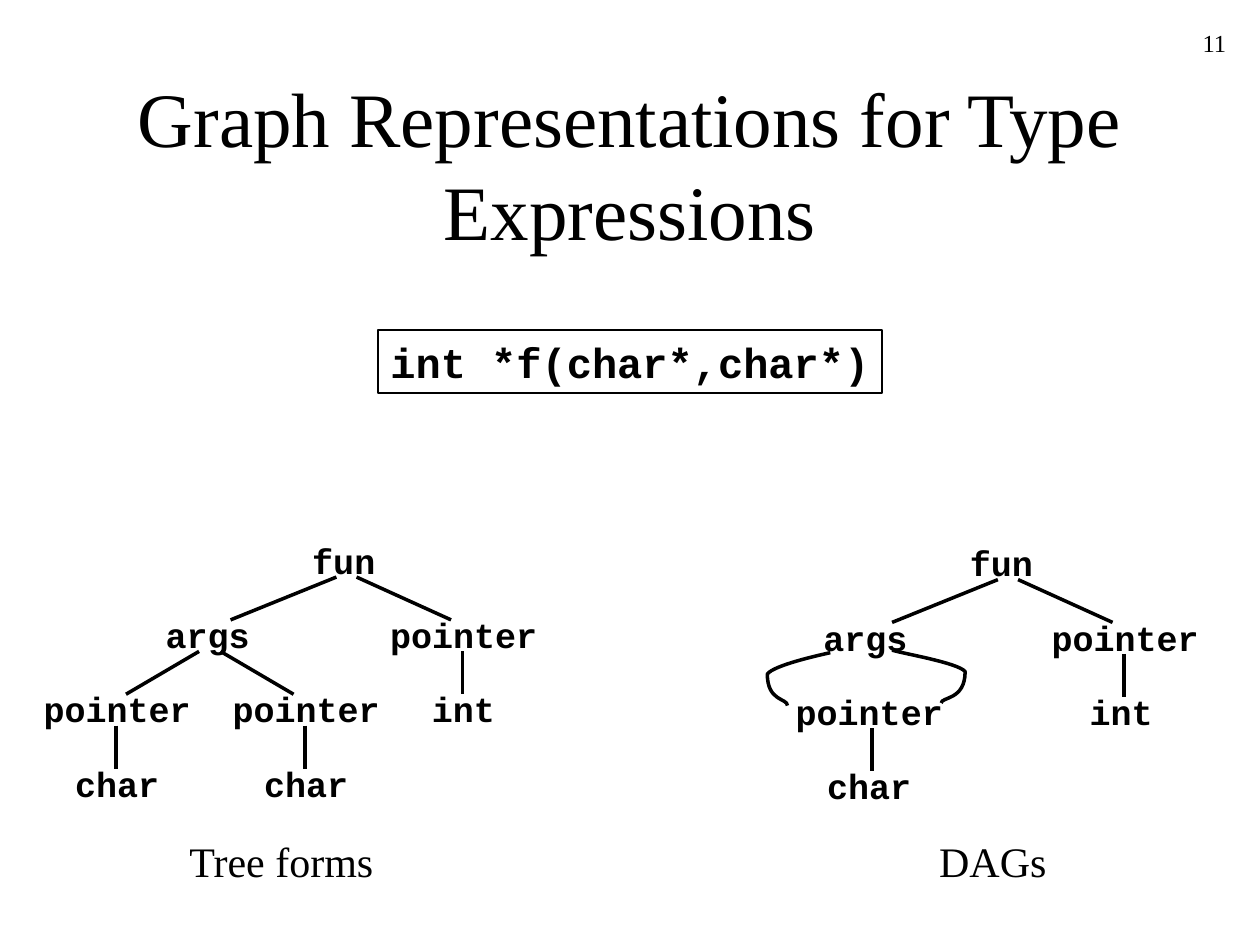
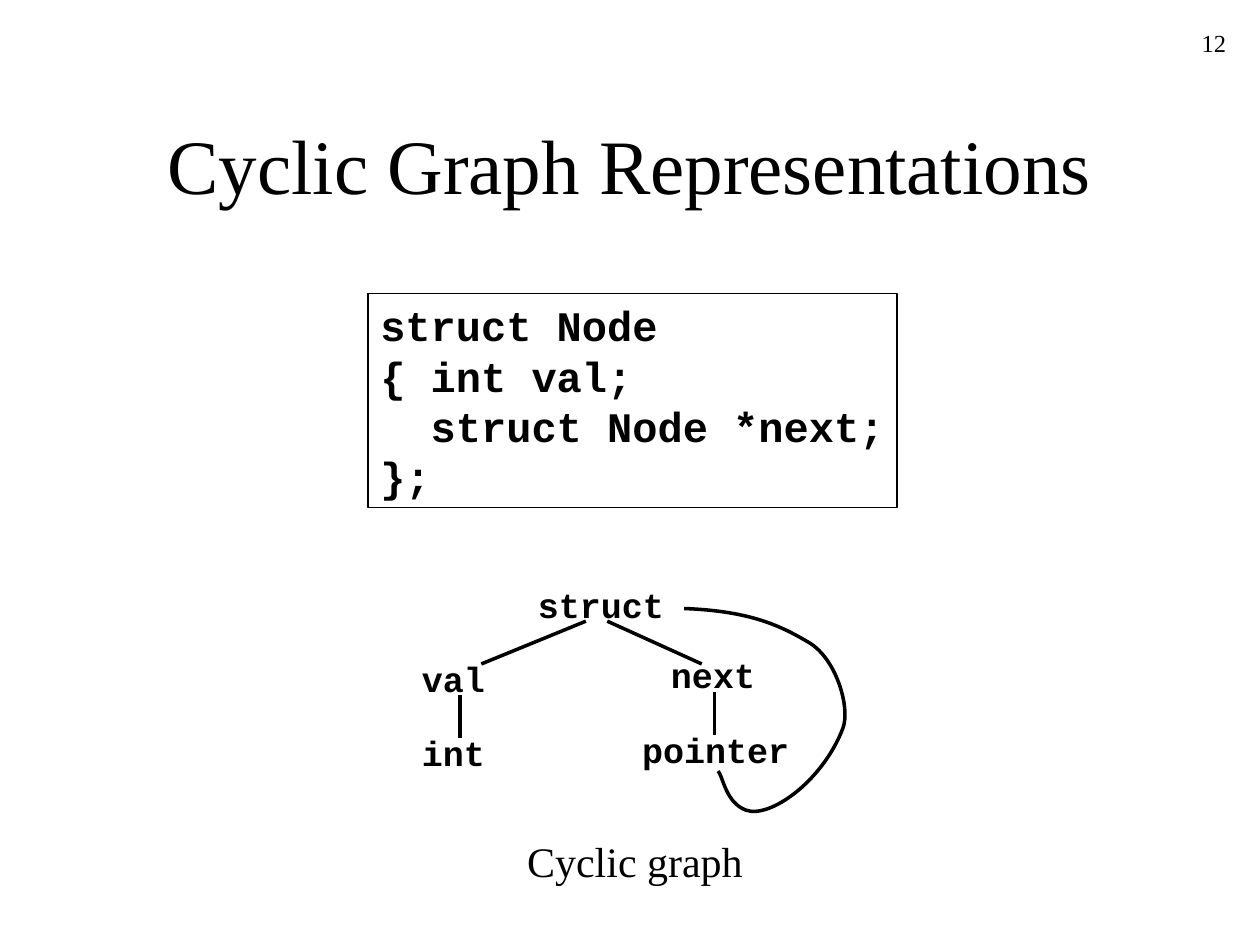
"""Builds two slides on graph representations of type expressions."""
from dataclasses import dataclass

from lxml import etree
from pptx import Presentation
from pptx.dml.color import RGBColor
from pptx.enum.shapes import MSO_CONNECTOR, MSO_SHAPE
from pptx.enum.text import MSO_ANCHOR, MSO_AUTO_SIZE, PP_ALIGN
from pptx.oxml.ns import qn
from pptx.util import Inches, Pt

LEFT, CENTER, RIGHT = PP_ALIGN.LEFT, PP_ALIGN.CENTER, PP_ALIGN.RIGHT
TOP, MIDDLE = MSO_ANCHOR.TOP, MSO_ANCHOR.MIDDLE
FIT_TEXT, RECTANGLE = MSO_AUTO_SIZE.SHAPE_TO_FIT_TEXT, MSO_SHAPE.RECTANGLE
STRAIGHT = MSO_CONNECTOR.STRAIGHT


@dataclass(frozen=True)
class Theme:
    ink: RGBColor = RGBColor(0, 0, 0)
    paper: RGBColor = RGBColor(255, 255, 255)
    serif: str = "Times New Roman"
    mono: str = "Courier New"
    title: int = 44
    code: int = 24
    caption: int = 24
    node: int = 20
    number: int = 14
    frame: float = 0.75
    edge: float = 2


THEME = Theme()
WIDTH, HEIGHT = 10, 7.5
TITLE_BOX = (0.75, 0.67, 8.5, 1.25)
NUMBER_BOX = (7.75, 0.17, 2.08, 0.5)
CAPTION_TOP, CAPTION_HEIGHT = 6.58, 0.5
ROW, NODE_HEIGHT = 0.59, 0.44
EDGE_START, EDGE_END = 0.35, 0.69
CODE_LINE, INSET = 0.4, 0.1
MONO_ADVANCE = 0.6 / 72

# nodes: (label, centre x, row); edges: (x above, x below, row above)
# loops: start point followed by triples of Bezier points
SLIDES = [
    {
        "number": "11",
        "title": "Graph Representations for Type Expressions",
        "code": [("int *f(char*,char*)", 0)],
        "code_at": (3, 2.62),
        "graphs": [
            {
                "top": 4.23,
                "nodes": [("fun", 2.73, 0), ("args", 1.65, 1), ("pointer", 3.68, 1),
                          ("pointer", 0.93, 2), ("pointer", 2.43, 2), ("int", 3.68, 2),
                          ("char", 0.93, 3), ("char", 2.43, 3)],
                "edges": [(2.67, 1.83, 0), (2.83, 3.58, 0), (1.58, 1, 1), (1.75, 2.33, 1),
                          (3.67, 3.67, 1), (0.92, 0.92, 2), (2.42, 2.42, 2)],
                "loops": [],
                "caption": ("Tree forms", 2.24, 1.67),
            },
            {
                "top": 4.25,
                "nodes": [("fun", 7.95, 0), ("args", 6.87, 1), ("pointer", 8.93, 1),
                          ("pointer", 6.9, 2), ("int", 8.9, 2), ("char", 6.9, 3)],
                "edges": [(7.92, 7.08, 0), (8.08, 8.83, 0), (8.92, 8.92, 1), (6.92, 6.92, 2)],
                "loops": [
                    [(6.59, 5.18), (6.5, 5.2), (6.14, 5.28), (6.09, 5.35),
                     (6.09, 5.57), (6.25, 5.54), (6.25, 5.6)],
                    [(7.08, 5.16), (7.18, 5.19), (7.6, 5.26), (7.66, 5.33),
                     (7.66, 5.56), (7.47, 5.53), (7.47, 5.58)],
                ],
                "caption": ("DAGs", 7.88, 1.05),
            },
        ],
    },
    {
        "number": "12",
        "title": "Cyclic Graph Representations",
        "code": [("struct Node", 0), ("{ int val;", 0), ("struct Node *next;", 2), ("};", 0)],
        "code_at": (2.92, 2.33),
        "graphs": [
            {
                "top": 4.58,
                "nodes": [("struct", 4.77, 0), ("val", 3.6, 1), ("next", 5.66, 0.95),
                          ("int", 3.6, 2), ("pointer", 5.68, 1.95)],
                "edges": [(4.65, 3.82, 0), (4.82, 5.57, 0), (3.65, 3.65, 1), (5.67, 5.67, 0.95)],
                "loops": [
                    [(5.7, 6.12), (5.74, 6.17), (5.76, 6.37), (5.92, 6.43),
                     (6.11, 6.5), (6.53, 6.2), (6.69, 5.78),
                     (6.75, 5.62), (6.64, 5.23), (6.42, 5.1),
                     (6.2, 4.97), (5.96, 4.85), (5.43, 4.83)],
                ],
                "caption": ("Cyclic graph", 5.04, 1.91),
            },
        ],
    },
]


def mono_width(characters, size):
    return 2 * INSET + characters * size * MONO_ADVANCE


def style(paragraph, font_name, size, bold=False, align=LEFT):
    paragraph.alignment = align
    for run in paragraph.runs:
        run.font.name = font_name
        run.font.size = Pt(size)
        run.font.bold = bold
        run.font.color.rgb = THEME.ink


def draw_text(slide, text, box, font_name, size, bold=False, align=LEFT, anchor=TOP, wrap=False):
    frame = slide.shapes.add_textbox(*map(Inches, box)).text_frame
    frame.word_wrap = wrap
    frame.vertical_anchor = anchor
    if not wrap:
        frame.auto_size = FIT_TEXT
    frame.text = text
    style(frame.paragraphs[0], font_name, size, bold, align)


def draw_code(slide, lines, corner):
    width = mono_width(max(len(text) + indent for text, indent in lines), THEME.code)
    box = (*corner, width, INSET + CODE_LINE * len(lines))
    panel = slide.shapes.add_shape(RECTANGLE, *map(Inches, box))
    panel.shadow.inherit = False
    panel.fill.background()
    panel.line.color.rgb = THEME.ink
    panel.line.width = Pt(THEME.frame)
    frame = panel.text_frame
    frame.word_wrap = False
    frame.auto_size = FIT_TEXT
    frame.vertical_anchor = TOP
    frame.text = "\n".join(text for text, _ in lines)
    for paragraph, (_, indent) in zip(frame.paragraphs, lines):
        style(paragraph, THEME.mono, THEME.code, bold=True)
        if indent:
            margin = Inches(indent * THEME.code * MONO_ADVANCE)
            paragraph._p.get_or_add_pPr().set("marL", str(margin))


def draw_edge(slide, start, end):
    edge = slide.shapes.add_connector(STRAIGHT, *map(Inches, (*start, *end)))
    edge.line.color.rgb = THEME.ink
    edge.line.width = Pt(THEME.edge)
    etree.SubElement(edge._element.spPr, qn("a:effectLst"))


def draw_loop(slide, points):
    start, *rest = [(Inches(x), Inches(y)) for x, y in points]
    builder = slide.shapes.build_freeform(*start)
    builder.add_line_segments(rest, close=False)
    loop = builder.convert_to_shape()
    loop.shadow.inherit = False
    loop.fill.background()
    loop.line.color.rgb = THEME.ink
    loop.line.width = Pt(THEME.edge)
    outline = next(loop._element.iter(qn("a:path")))
    segments = outline.findall(qn("a:lnTo"))
    for first in range(0, len(segments), 3):
        curve = etree.SubElement(outline, qn("a:cubicBezTo"))
        for segment in segments[first:first + 3]:
            curve.append(segment[0])
            outline.remove(segment)


def draw_graph(slide, graph):
    for label, center, row in graph["nodes"]:
        width = mono_width(len(label), THEME.node)
        box = (center - width / 2, graph["top"] + row * ROW, width, NODE_HEIGHT)
        draw_text(slide, label, box, THEME.mono, THEME.node, bold=True)
    for above, below, row in graph["edges"]:
        top = graph["top"] + row * ROW
        draw_edge(slide, (above, top + EDGE_START), (below, top + EDGE_END))
    for points in graph["loops"]:
        draw_loop(slide, points)
    caption, center, width = graph["caption"]
    box = (center - width / 2, CAPTION_TOP, width, CAPTION_HEIGHT)
    draw_text(slide, caption, box, THEME.serif, THEME.caption)


def main():
    deck = Presentation()
    deck.slide_width, deck.slide_height = Inches(WIDTH), Inches(HEIGHT)
    for content in SLIDES:
        slide = deck.slides.add_slide(deck.slide_layouts[6])
        slide.background.fill.solid()
        slide.background.fill.fore_color.rgb = THEME.paper
        draw_text(slide, content["title"], TITLE_BOX, THEME.serif, THEME.title,
                  align=CENTER, anchor=MIDDLE, wrap=True)
        draw_code(slide, content["code"], content["code_at"])
        for graph in content["graphs"]:
            draw_graph(slide, graph)
        draw_text(slide, content["number"], NUMBER_BOX, THEME.serif, THEME.number,
                  align=RIGHT, wrap=True)
    deck.save("out.pptx")


if __name__ == "__main__":
    main()
